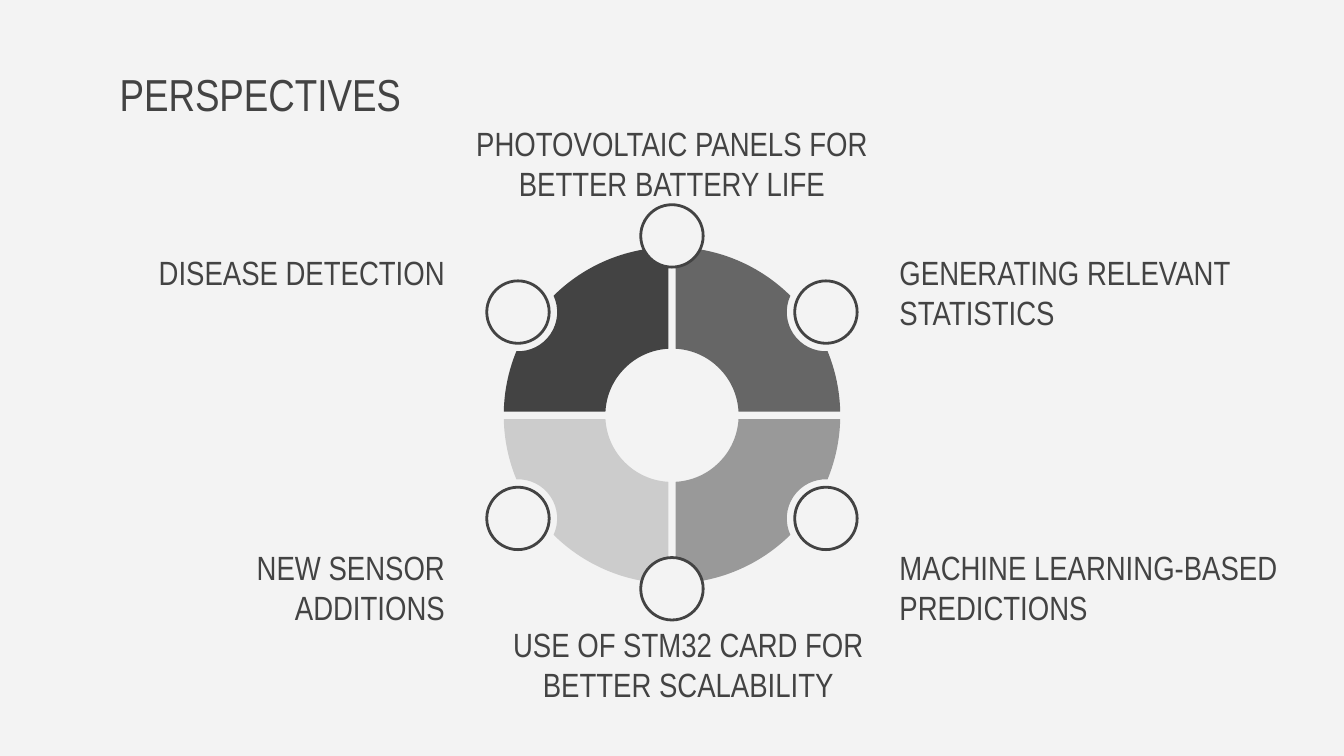
from math import acos, asin, atan2, cos, hypot, pi, sin, tan

from lxml import etree
from pptx import Presentation
from pptx.dml.color import RGBColor
from pptx.enum.shapes import MSO_SHAPE
from pptx.enum.text import MSO_ANCHOR, MSO_AUTO_SIZE, PP_ALIGN
from pptx.oxml.ns import qn
from pptx.util import Cm, Pt

OVAL = MSO_SHAPE.OVAL
TOP = MSO_ANCHOR.TOP
NO_AUTOFIT = MSO_AUTO_SIZE.NONE
LEFT, CENTER, RIGHT = PP_ALIGN.LEFT, PP_ALIGN.CENTER, PP_ALIGN.RIGHT

FONT = "Arial Narrow"
BACKGROUND = RGBColor(0xF3, 0xF3, 0xF3)
DARK = RGBColor(0x43, 0x43, 0x43)
GRAY = RGBColor(0x66, 0x66, 0x66)
SILVER = RGBColor(0x99, 0x99, 0x99)
PALE = RGBColor(0xCC, 0xCC, 0xCC)

TITLE = "PERSPECTIVES"
LEFT_COLUMN, RIGHT_COLUMN = 2.01, 16.75
UPPER_ROW, LOWER_ROW = 4.51, 10.09
NARROW, WIDE = (6.65, 1.45), (8.1, 2.1)
LABELS = [
    ("DISEASE DETECTION", LEFT_COLUMN, UPPER_ROW, NARROW, RIGHT),
    ("GENERATING RELEVANT STATISTICS", RIGHT_COLUMN, UPPER_ROW, WIDE, LEFT),
    ("NEW SENSOR ADDITIONS", LEFT_COLUMN, LOWER_ROW, NARROW, RIGHT),
    ("MACHINE LEARNING-BASED PREDICTIONS", RIGHT_COLUMN, LOWER_ROW, WIDE, LEFT),
    ("USE OF STM32 CARD FOR BETTER SCALABILITY", 8.96, 11.54, WIDE, CENTER),
    ("PHOTOVOLTAIC PANELS FOR BETTER BATTERY LIFE", 8.65, 2.07, WIDE, CENTER),
]
QUADRANTS = [(-1, 1, PALE), (1, 1, SILVER), (1, -1, GRAY), (-1, -1, DARK)]

CENTER_X, CENTER_Y = 12.7, 7.85
OUTER, INNER, HALF_GAP = 3.18, 1.26, 0.07
NODE_X, NODE_Y, NODE_RADIUS, NOTCH_RADIUS = 2.91, 1.95, 0.59, 0.74
TOP_NODE_Y, BOTTOM_NODE_Y = 4.46, 11.13


def arc(x, y, radius, start, end):
    reach = 4 / 3 * tan((end - start) / 4)
    return [
        (x + radius * (cos(start) - reach * sin(start)),
         y + radius * (sin(start) + reach * cos(start))),
        (x + radius * (cos(end) + reach * sin(end)),
         y + radius * (sin(end) - reach * cos(end))),
        (x + radius * cos(end), y + radius * sin(end)),
    ]


def quadrant_segments():
    distance = hypot(NODE_X, NODE_Y)
    direction = atan2(NODE_Y, NODE_X)
    cut = acos((OUTER**2 + distance**2 - NOTCH_RADIUS**2) / (2 * OUTER * distance))
    bite = acos((distance**2 + NOTCH_RADIUS**2 - OUTER**2) / (2 * distance * NOTCH_RADIUS))
    outer_margin = asin(HALF_GAP / OUTER)
    inner_margin = asin(HALF_GAP / INNER)
    inward = direction + pi
    return [
        [(HALF_GAP, OUTER * cos(outer_margin))],
        arc(0, 0, OUTER, pi / 2 - outer_margin, direction + cut),
        arc(NODE_X, NODE_Y, NOTCH_RADIUS, inward - bite, inward),
        arc(NODE_X, NODE_Y, NOTCH_RADIUS, inward, inward + bite),
        arc(0, 0, OUTER, direction - cut, outer_margin),
        [(INNER * cos(inner_margin), HALF_GAP)],
        arc(0, 0, INNER, inner_margin, pi / 2 - inner_margin),
    ]


def bend_segments(shape, segments):
    lines = list(shape.element.iter(qn("a:lnTo")))
    for segment in segments:
        members, lines = lines[:len(segment)], lines[len(segment):]
        if len(members) == 3:
            curve = etree.Element(qn("a:cubicBezTo"))
            members[0].addprevious(curve)
            for line in members:
                curve.append(line[0])
                line.getparent().remove(line)


def add_quadrant(shapes, side_x, side_y, color):
    segments = quadrant_segments()
    points = [
        (Cm(CENTER_X + side_x * x), Cm(CENTER_Y + side_y * y))
        for segment in segments for x, y in segment
    ]
    builder = shapes.build_freeform(*points[0])
    builder.add_line_segments(points[1:], close=False)
    builder.add_line_segments([], close=True)
    shape = builder.convert_to_shape()
    bend_segments(shape, segments[1:])
    shape.shadow.inherit = False
    shape.fill.solid()
    shape.fill.fore_color.rgb = color
    shape.line.fill.background()


def add_node(shapes, x, y, filled):
    size = Cm(2 * NODE_RADIUS)
    shape = shapes.add_shape(OVAL, Cm(x - NODE_RADIUS), Cm(y - NODE_RADIUS), size, size)
    shape.shadow.inherit = False
    if filled:
        shape.fill.solid()
        shape.fill.fore_color.rgb = BACKGROUND
    else:
        shape.fill.background()
    shape.line.color.rgb = DARK
    shape.line.width = Pt(1.5)


def write_text(shape, text, size, alignment, space_after):
    frame = shape.text_frame
    frame.word_wrap = True
    frame.auto_size = NO_AUTOFIT
    frame.vertical_anchor = TOP
    frame.margin_left = frame.margin_right = Cm(0.25)
    frame.margin_top = frame.margin_bottom = Cm(0.25)
    paragraph = frame.paragraphs[0]
    paragraph.alignment = alignment
    paragraph.space_after = Pt(space_after)
    run = paragraph.add_run()
    run.text = text
    run.font.name = FONT
    run.font.size = Pt(size)
    run.font.color.rgb = DARK


def main():
    presentation = Presentation()
    presentation.slide_width, presentation.slide_height = Cm(25.4), Cm(14.29)
    slide = presentation.slides.add_slide(presentation.slide_layouts[5])
    slide.background.fill.solid()
    slide.background.fill.fore_color.rgb = BACKGROUND

    title = slide.shapes.title
    title.left, title.top = Cm(LEFT_COLUMN), Cm(1.01)
    title.width, title.height = Cm(13.51), Cm(2.31)
    write_text(title, TITLE, 24, LEFT, 0)

    wheel = slide.shapes.add_group_shape()
    for side_x, side_y, color in QUADRANTS:
        add_quadrant(wheel.shapes, side_x, side_y, color)
        add_node(wheel.shapes, CENTER_X + side_x * NODE_X, CENTER_Y + side_y * NODE_Y, False)
    for y in (TOP_NODE_Y, BOTTOM_NODE_Y):
        add_node(slide.shapes, CENTER_X, y, True)

    for text, x, y, (width, height), alignment in LABELS:
        box = slide.shapes.add_textbox(Cm(x), Cm(y), Cm(width), Cm(height))
        write_text(box, text, 18, alignment, 16)

    presentation.save("out.pptx")


if __name__ == "__main__":
    main()
